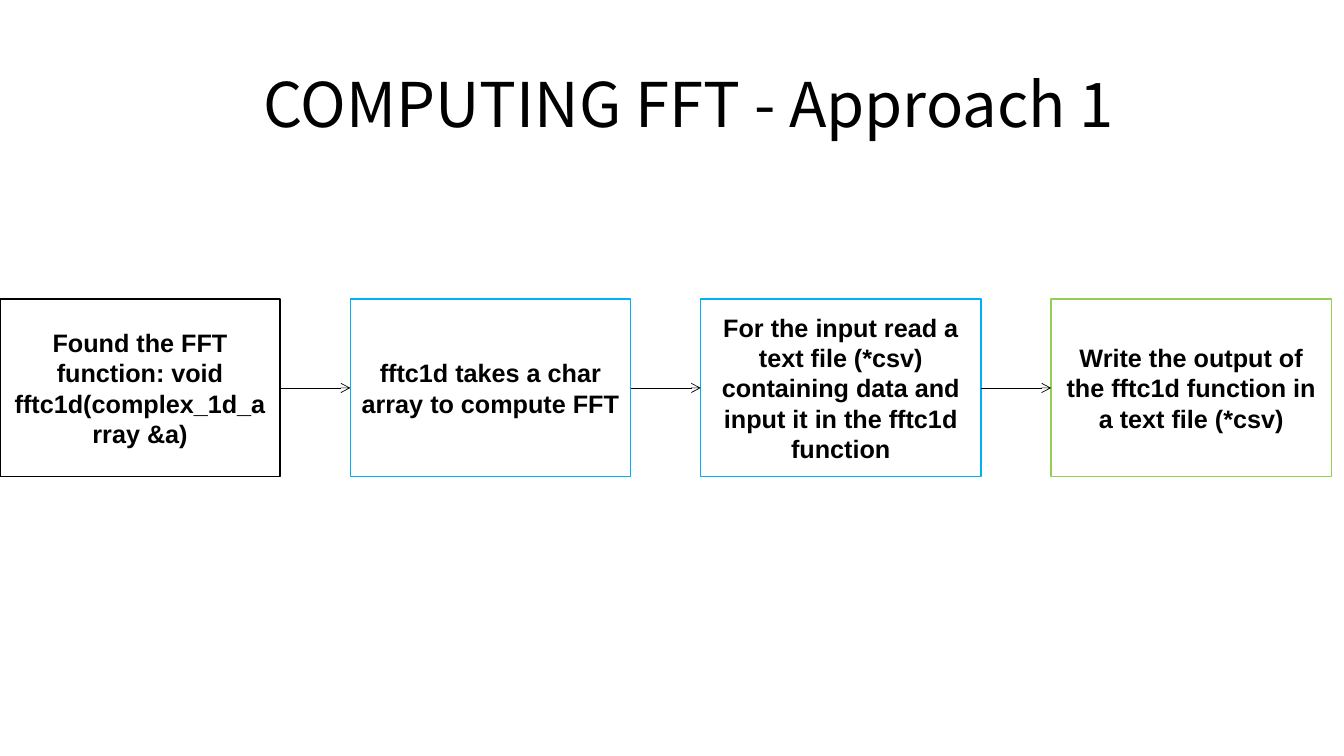
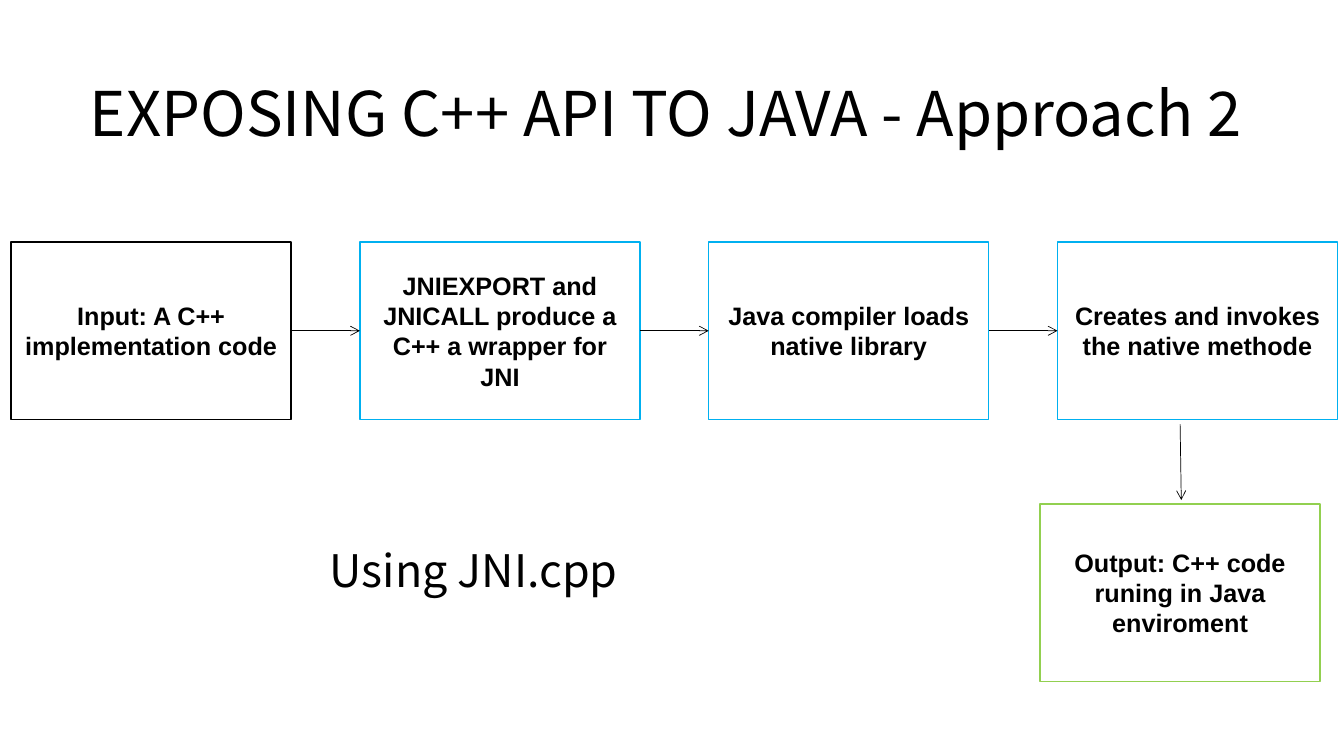
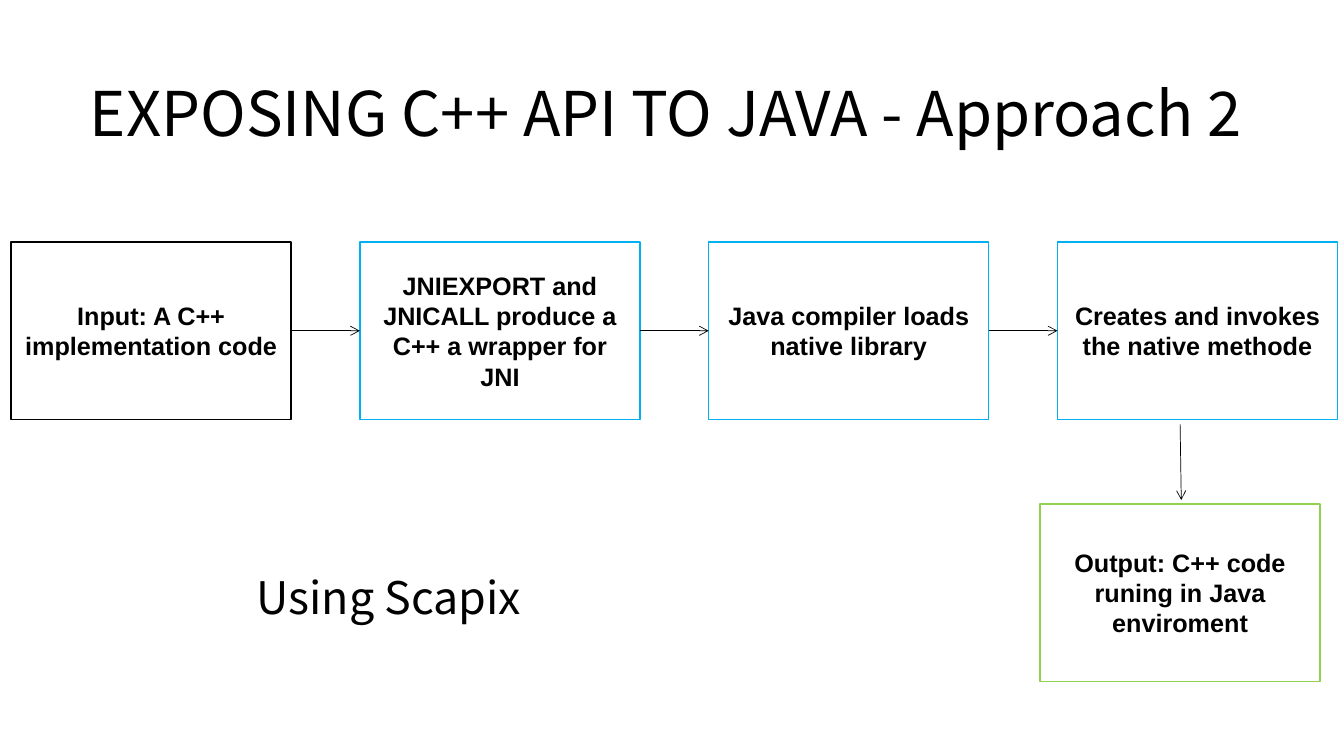
from dataclasses import dataclass

from lxml import etree
from pptx import Presentation
from pptx import util as u
from pptx.dml.color import RGBColor
from pptx.enum import shapes, text
from pptx.oxml.ns import qn

# Shared style
BLACK, WHITE, BLUE, GREEN = "000000", "FFFFFF", "00B0F0", "92D050"
HEAD_FONT, BOX_FONT = "Noto Sans CJK JP", "Arial"
BOX_W, BOX_H = 7.06, 4.47
TOP, LEFT, BOTTOM, RIGHT = range(4)


@dataclass
class Step:
    label: str
    line: str = BLUE
    filled: bool = True


@dataclass
class Flow:
    """A row of equally spaced steps, in centimetres."""
    left: float
    top: float
    pitch: float
    steps: list[Step]


def color(value: str) -> RGBColor:
    return RGBColor.from_string(value)


def write(tf, words: str, font: str, size: float, bold: bool = False) -> None:
    tf.word_wrap = True
    tf.auto_size = text.MSO_AUTO_SIZE.NONE
    tf.vertical_anchor = text.MSO_ANCHOR.MIDDLE
    p = tf.paragraphs[0]
    p.alignment = text.PP_ALIGN.CENTER
    r = p.add_run()
    r.text = words
    r.font.name, r.font.size, r.font.bold = font, u.Pt(size), bold
    r.font.color.rgb = color(BLACK)


def add_titled_slide(prs, title: str, left: float, top: float, width: float):
    s = prs.slides.add_slide(prs.slide_layouts[5])
    sp = s.shapes.title
    sp.left, sp.top, sp.width, sp.height = map(u.Cm, (left, top, width, 3.66))
    write(sp.text_frame, title, HEAD_FONT, 44)
    return s


def add_box(s, step: Step, left: float, top: float):
    sp = s.shapes.add_shape(shapes.MSO_SHAPE.RECTANGLE,
                            *map(u.Cm, (left, top, BOX_W, BOX_H)))
    sp.shadow.inherit = False
    if step.filled:
        sp.fill.solid()
        sp.fill.fore_color.rgb = color(WHITE)
    else:
        sp.fill.background()
    sp.line.color.rgb = color(step.line)
    sp.line.width = u.Pt(1)
    write(sp.text_frame, step.label, BOX_FONT, 18, bold=True)
    return sp


def add_arrow(s, x1: float = 0, y1: float = 0, x2: float = 0, y2: float = 0):
    cx = s.shapes.add_connector(shapes.MSO_CONNECTOR.STRAIGHT,
                                *map(u.Cm, (x1, y1, x2, y2)))
    cx.line.color.rgb = color(BLACK)
    cx.line.width = u.Pt(0.5)
    ln = cx.line._get_or_add_ln()
    etree.SubElement(ln, qn("a:tailEnd"), type="arrow")
    etree.SubElement(cx._element.spPr, qn("a:effectLst"))
    return cx


def add_flow(s, flow: Flow) -> None:
    boxes = [add_box(s, step, flow.left + i * flow.pitch, flow.top)
             for i, step in enumerate(flow.steps)]
    for before, after in zip(boxes, boxes[1:]):
        cx = add_arrow(s)
        cx.begin_connect(before, RIGHT)
        cx.end_connect(after, LEFT)


def add_caption(s, words: str, left: float, top: float) -> None:
    tf = s.shapes.add_textbox(*map(u.Cm, (left, top, 8.28, 1.02))).text_frame
    tf.margin_top = tf.margin_bottom = 0
    write(tf, words, HEAD_FONT, 32)


FFT_FLOW = Flow(0, 7.54, 8.83, [
    Step("Found the FFT function: void fftc1d(complex_1d_array &a)", BLACK),
    Step("fftc1d takes a char array to compute FFT"),
    Step("For the input read a text file (*csv) containing data and "
         "input it in the fftc1d function", filled=False),
    Step("Write the output of the fftc1d function in a text file (*csv)", GREEN),
])
JAVA_FLOW = Flow(0.28, 6.1, 8.79, [
    Step("Input: A C++ implementation code", BLACK),
    Step("JNIEXPORT and JNICALL produce a C++ a wrapper for JNI"),
    Step("Java compiler loads native library", filled=False),
    Step("Creates and invokes the native methode", filled=False),
])
JAVA_OUTPUT = Step("Output: C++ code runing in Java enviroment", GREEN)


def add_java_slide(prs, caption: str, left: float, top: float) -> None:
    s = add_titled_slide(prs, "EXPOSING C++ API TO JAVA - Approach 2",
                         1.93, 1, 29.72)
    add_flow(s, JAVA_FLOW)
    add_box(s, JAVA_OUTPUT, 26.21, 12.7)
    add_arrow(s, 29.74, 10.69, 29.77, 12.6)
    add_caption(s, caption, left, top)


def main() -> None:
    prs = Presentation()
    prs.slide_width, prs.slide_height = u.Cm(33.87), u.Cm(19.05)

    # Approach 1
    s = add_titled_slide(prs, "COMPUTING FFT - Approach 1", 6.1, 0.76, 22.53)
    add_flow(s, FFT_FLOW)

    # Approach 2, once per tool
    add_java_slide(prs, "Using JNI.cpp", 7.8, 13.84)
    add_java_slide(prs, "Using Scapix", 5.66, 14.53)

    prs.save("out.pptx")


if __name__ == "__main__":
    main()
